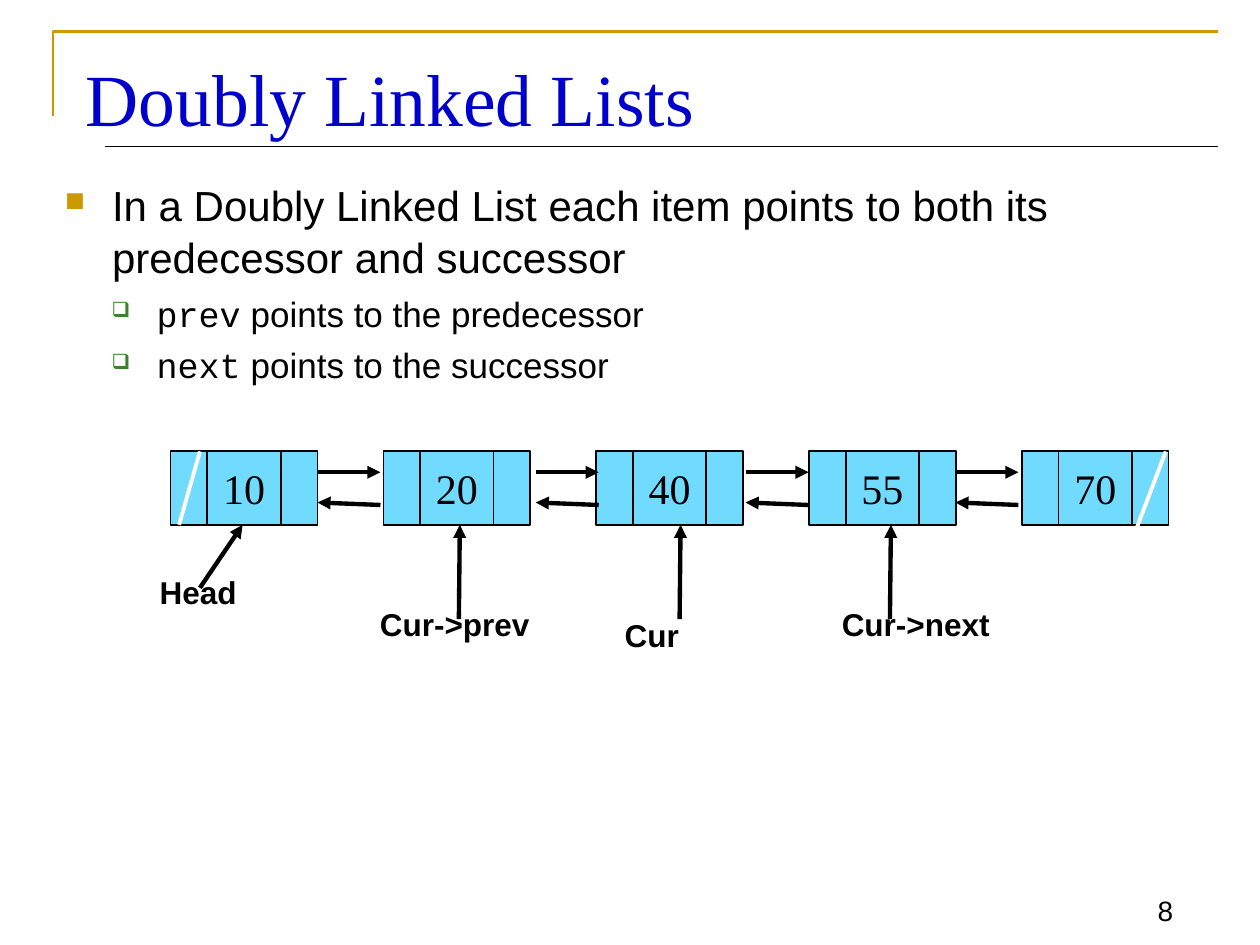
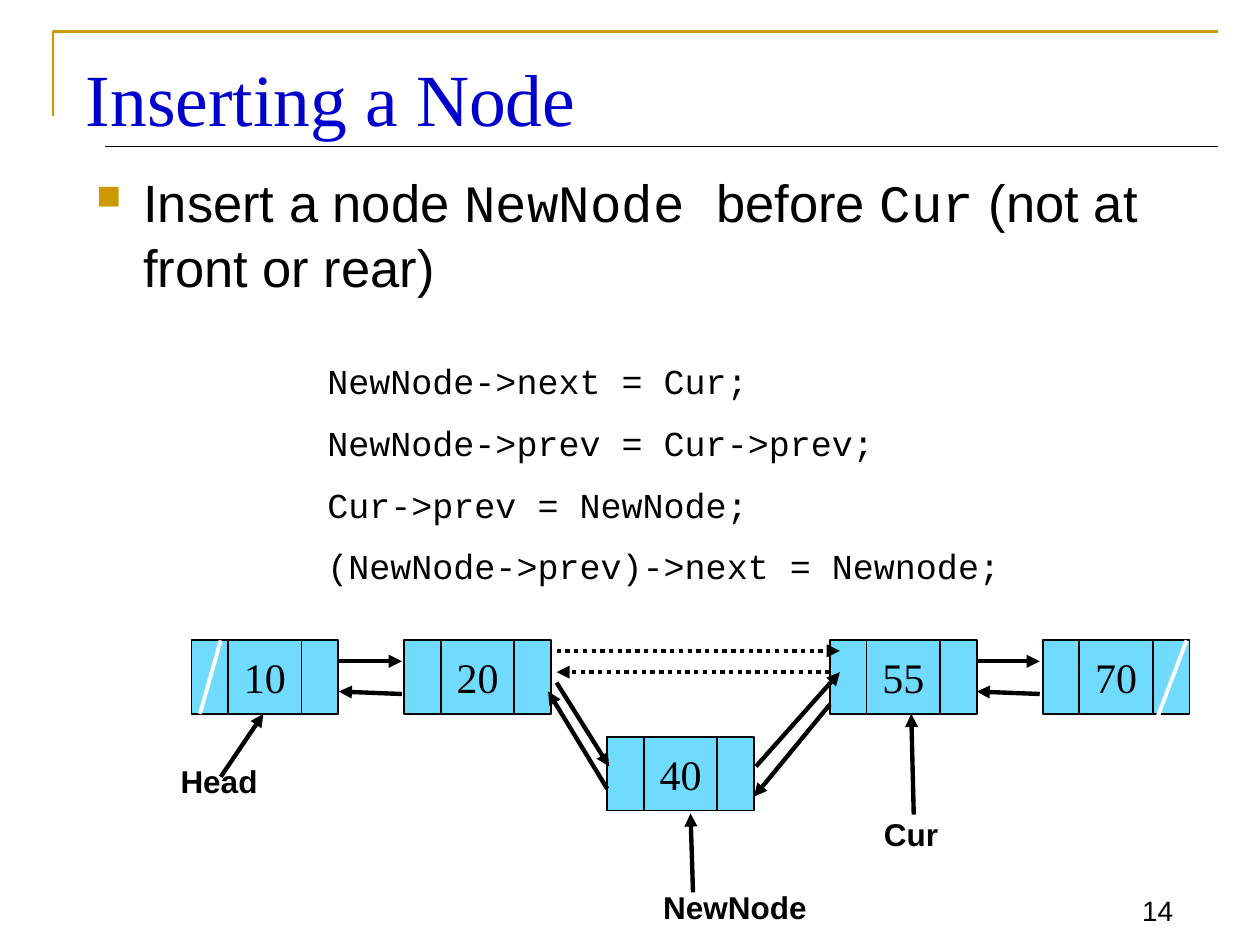
"""Build two slides on doubly linked lists and node insertion."""
from dataclasses import dataclass

from lxml import etree
from pptx import Presentation
from pptx.dml.color import RGBColor
from pptx.enum.dml import MSO_LINE
from pptx.enum.shapes import MSO_CONNECTOR, MSO_SHAPE
from pptx.enum.text import MSO_ANCHOR, PP_ALIGN
from pptx.oxml.ns import qn
from pptx.util import Cm, Pt

STRAIGHT = MSO_CONNECTOR.STRAIGHT
RECTANGLE = MSO_SHAPE.RECTANGLE
DOTTED = MSO_LINE.ROUND_DOT
LEFT, CENTER, RIGHT = PP_ALIGN.LEFT, PP_ALIGN.CENTER, PP_ALIGN.RIGHT
TOP, MIDDLE, BOTTOM = MSO_ANCHOR.TOP, MSO_ANCHOR.MIDDLE, MSO_ANCHOR.BOTTOM

COLORS = {
    "title": "0000CC",
    "frame": "CC9900",
    "sub_bullet": "3B812F",
    "node": "71DAFF",
    "ink": "000000",
    "slash": "FFFFFF",
}
SANS, SERIF, MONO = "Arial", "Times New Roman", "Courier New"

LINK_CELL, VALUE_CELL, CELL_HEIGHT = 0.74, 1.48, 1.48
NODE_PITCH = 4.29
LINK_LENGTH = 1.27


@dataclass(frozen=True)
class Bullet:
    """Bullet symbol with its colour key, size and hanging indent in cm."""
    symbol: str
    color: str
    percent: int
    margin: float
    hanging: float


@dataclass(frozen=True)
class Label:
    """Bold pointer name placed in cm."""
    text: str
    left: float
    top: float
    width: float
    align: PP_ALIGN = LEFT


@dataclass(frozen=True)
class Line:
    """Line between two points in cm."""
    x1: float
    y1: float
    x2: float
    y2: float
    color: str = "ink"
    weight: float = 2.5
    arrow: bool = True
    dash: MSO_LINE | None = None


MAIN_BULLET = Bullet("■", "frame", 65, 0.95, 0.95)
SUB_BULLET = Bullet("❑", "sub_bullet", 60, 1.85, 0.91)


def rgb(key: str) -> RGBColor:
    """Return the named colour."""
    return RGBColor.from_string(COLORS[key])


def add_bullet(paragraph, bullet: Bullet) -> None:
    """Give a paragraph its bullet and hanging indent."""
    properties = paragraph._p.get_or_add_pPr()
    properties.set("marL", str(Cm(bullet.margin)))
    properties.set("indent", str(-Cm(bullet.hanging)))
    color = etree.SubElement(properties, qn("a:buClr"))
    etree.SubElement(color, qn("a:srgbClr")).set("val", COLORS[bullet.color])
    etree.SubElement(properties, qn("a:buSzPct")).set("val", str(bullet.percent * 1000))
    etree.SubElement(properties, qn("a:buChar")).set("char", bullet.symbol)


def write_text(frame, text: str, *, size: float, font: str = SANS, color: str = "ink",
               bold: bool = False, align: PP_ALIGN = LEFT, space_before: float = 0,
               line_spacing: float = 1.0, bullet: Bullet | None = None) -> None:
    """Append a paragraph, with parts between backticks in the code font."""
    first = not frame.paragraphs[0].runs
    paragraph = frame.paragraphs[0] if first else frame.add_paragraph()
    if bullet:
        add_bullet(paragraph, bullet)
    paragraph.alignment = align
    paragraph.line_spacing = line_spacing
    paragraph.space_before = Pt(0 if first else space_before)
    for index, part in enumerate(text.split("`")):
        if part:
            run = paragraph.add_run()
            run.text = part
            run.font.name = MONO if index % 2 else font
            run.font.size = Pt(size)
            run.font.bold = bold
            run.font.color.rgb = rgb(color)


def add_frame(slide, left: float, top: float, width: float, height: float, *,
              wrap: bool = True, anchor: MSO_ANCHOR = TOP, inset: float = 0.13):
    """Add a text box and return its text frame."""
    shape = slide.shapes.add_textbox(Cm(left), Cm(top), Cm(width), Cm(height))
    frame = shape.text_frame
    frame.word_wrap = wrap
    frame.vertical_anchor = anchor
    frame.margin_top = Cm(inset)
    return frame


def draw_line(slide, line: Line) -> None:
    """Draw a line, with an arrowhead at its end if wanted."""
    connector = slide.shapes.add_connector(
        STRAIGHT, Cm(line.x1), Cm(line.y1), Cm(line.x2), Cm(line.y2))
    connector.line.color.rgb = rgb(line.color)
    connector.line.width = Pt(line.weight)
    if line.dash:
        connector.line.dash_style = line.dash
    properties = connector._element.spPr
    if line.arrow:
        outline = properties.find(qn("a:ln"))
        etree.SubElement(outline, qn("a:tailEnd")).set("type", "triangle")
    etree.SubElement(properties, qn("a:effectLst"))


def draw_label(slide, label: Label) -> None:
    """Draw a pointer name."""
    frame = add_frame(slide, label.left, label.top, label.width, 1.02, wrap=False)
    write_text(frame, label.text, size=18, bold=True, align=label.align)


def draw_cell(slide, left: float, top: float, width: float, text: str = "") -> None:
    """Draw one cell of a node."""
    shape = slide.shapes.add_shape(RECTANGLE, Cm(left), Cm(top), Cm(width), Cm(CELL_HEIGHT))
    shape.shadow.inherit = False
    shape.fill.solid()
    shape.fill.fore_color.rgb = rgb("node")
    shape.line.color.rgb = rgb("ink")
    shape.line.width = Pt(1)
    if text:
        shape.text_frame.word_wrap = False
        shape.text_frame.vertical_anchor = MIDDLE
        write_text(shape.text_frame, text, size=24, font=SERIF, align=CENTER)


def draw_node(slide, left: float, top: float, value: str) -> None:
    """Draw a value between its two link cells."""
    value_left = left + LINK_CELL
    draw_cell(slide, value_left, top, VALUE_CELL, value)
    draw_cell(slide, left, top, LINK_CELL)
    draw_cell(slide, value_left + VALUE_CELL, top, LINK_CELL)


def draw_list(slide, left: float, top: float, values: dict[int, str],
              links: tuple[float, ...]) -> None:
    """Draw nodes by position, links both ways, end slashes and the head."""
    for position, value in values.items():
        draw_node(slide, left + position * NODE_PITCH, top, value)
    for start in links:
        end = start + LINK_LENGTH
        draw_line(slide, Line(start, top + 0.42, end, top + 0.42))
        draw_line(slide, Line(end, top + 1.08, start, top + 1.03))
    draw_label(slide, Label("Head", left - 0.47, top + 2.33, 2.06))
    draw_line(slide, Line(left + 0.59, top + 2.75, left + 1.45, top + CELL_HEIGHT))
    for x1, x2, drop in ((0.59, 0.17, 1.48), (20.06, 19.42, 1.69)):
        draw_line(slide, Line(left + x1, top, left + x2, top + drop, "slash", 2.25, False))


def add_base_slide(presentation, title: str, number: int):
    """Add a slide with its frame, rule, number and title."""
    slide = presentation.slides.add_slide(presentation.slide_layouts[6])
    builder = slide.shapes.build_freeform(Cm(1.07), Cm(2.33))
    builder.add_line_segments([(Cm(1.07), Cm(0.64)), (Cm(24.55), Cm(0.64))], close=False)
    corner = builder.convert_to_shape()
    corner.shadow.inherit = False
    corner.fill.background()
    corner.line.color.rgb = rgb("frame")
    corner.line.width = Pt(1.5)
    draw_line(slide, Line(2.12, 2.96, 24.55, 2.96, weight=0.75, arrow=False))
    number_frame = add_frame(slide, 22.23, 17.57, 1.67, 1.25, anchor=BOTTOM)
    write_text(number_frame, str(number), size=16, align=RIGHT)
    title_frame = add_frame(slide, 1.48, 0.85, 23.07, 1.9, inset=0.22)
    write_text(title_frame, title, size=42, font=SERIF, color="title")
    return slide


def build_overview(presentation) -> None:
    """Build the slide that introduces doubly linked lists."""
    slide = add_base_slide(presentation, "Doubly Linked Lists", 8)
    body = add_frame(slide, 1.06, 3.39, 21.8, 4.87, inset=0.19)
    write_text(body, "In a Doubly Linked List each item points to both its "
               "predecessor and successor", size=24, line_spacing=1.04, bullet=MAIN_BULLET)
    for text in ("`prev` points to the predecessor", "`next` points to the successor"):
        write_text(body, text, size=20, line_spacing=1.04, space_before=4.6, bullet=SUB_BULLET)
    values = dict(enumerate(("10", "20", "40", "55", "70")))
    draw_list(slide, 3.44, 9.1, values, (6.4, 10.8, 15.03, 19.26))
    for label in (
        Label("Cur ", 9.95, 12.28, 6.56, CENTER),
        Label("Cur->next", 16.72, 12.07, 3.5),
        Label("Cur->prev", 7.41, 12.07, 3.53),
    ):
        draw_label(slide, label)
    for pointer_x in (9.25, 13.7, 17.94):
        draw_line(slide, Line(pointer_x, 12.48, pointer_x + 0.02, 10.58))


def build_insertion(presentation) -> None:
    """Build the slide that inserts a node before the current one."""
    slide = add_base_slide(presentation, "Inserting a Node", 14)
    body = add_frame(slide, 1.69, 3.18, 21.8, 12.91, inset=0.19)
    write_text(body, "Insert a node `NewNode `before `Cur` (not at front or rear)",
               size=30, line_spacing=1.04, bullet=MAIN_BULLET)
    draw_list(slide, 3.86, 12.91, {0: "10", 1: "20", 3: "55", 4: "70"}, (6.83, 19.69))
    draw_node(slide, 12.24, 14.86, "40")
    for line in (
        Line(11.22, 13.76, 12.28, 15.45),
        Line(12.24, 15.9, 11.05, 13.94),
        Line(15.24, 15.45, 16.93, 13.55),
        Line(16.73, 14.2, 15.2, 16.06),
        Line(13.97, 17.99, 13.92, 16.4),
        Line(18.42, 16.42, 18.37, 14.39),
        Line(11.22, 13.12, 16.93, 13.12, dash=DOTTED),
        Line(16.72, 13.55, 11.22, 13.55, dash=DOTTED),
    ):
        draw_line(slide, line)
    draw_label(slide, Label("NewNode", 13.12, 17.78, 4.02))
    draw_label(slide, Label("Cur", 17.57, 16.3, 1.6))
    code = add_frame(slide, 6.35, 6.99, 14.18, 4.95, inset=0.25)
    for statement in (
        "NewNode->next = Cur;",
        "NewNode->prev = Cur->prev;",
        "Cur->prev = NewNode;",
        "(NewNode->prev)->next = Newnode;",
    ):
        write_text(code, statement, size=20, font=MONO, space_before=11.4)


def main() -> None:
    """Build and save the presentation."""
    presentation = Presentation()
    presentation.slide_width = Cm(25.4)
    presentation.slide_height = Cm(19.05)
    build_overview(presentation)
    build_insertion(presentation)
    presentation.save("out.pptx")


if __name__ == "__main__":
    main()
